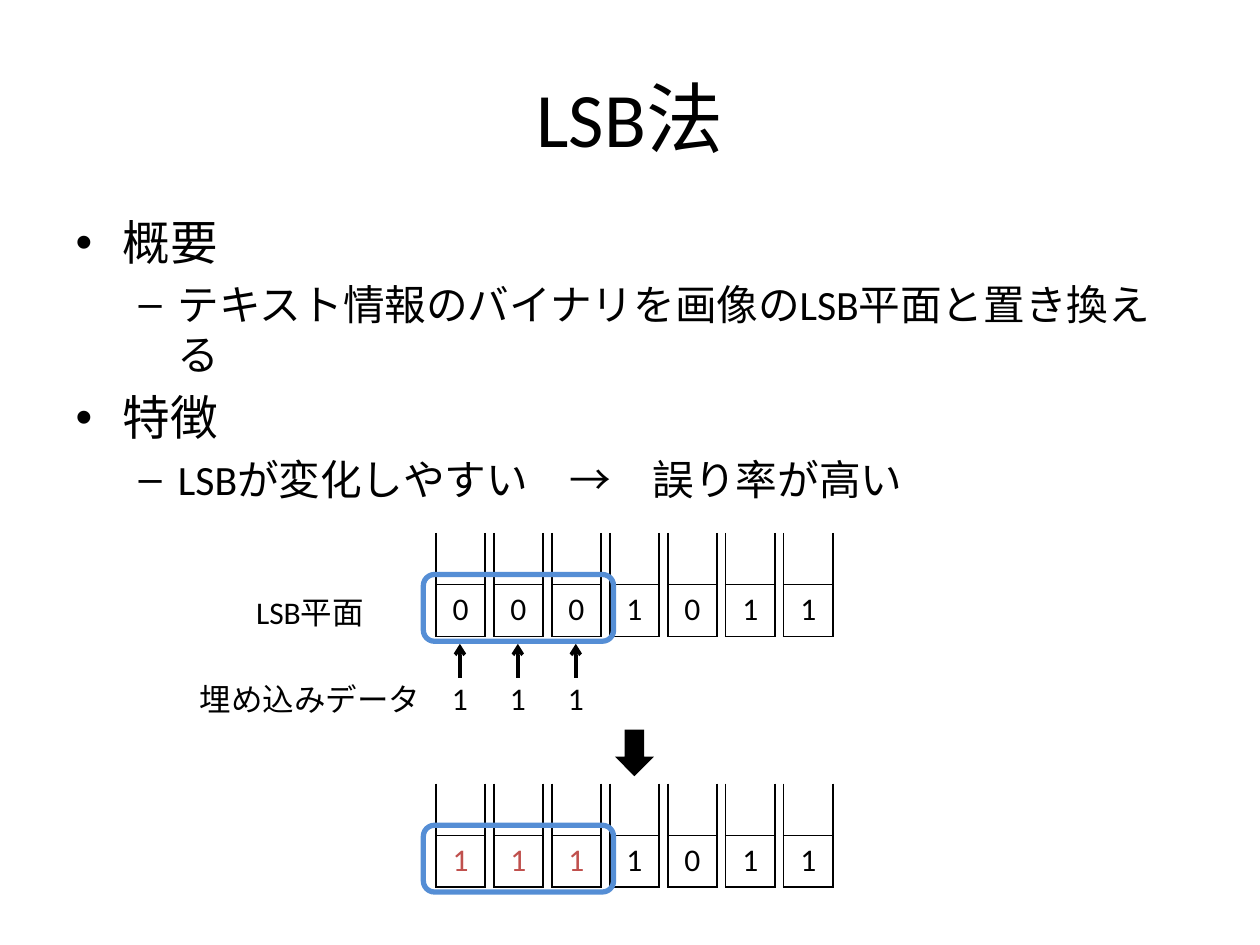
from lxml import etree
from pptx import Presentation
from pptx import util as u
from pptx.dml.color import RGBColor
from pptx.enum import shapes, text
from pptx.oxml import parse_xml
from pptx.oxml.ns import nsdecls, qn

Inches, Pt = u.Inches, u.Pt
FONT = "Calibri"
COLORS = {"ink": "000000", "changed": "C0504D", "frame": "558ED5"}
NO_STYLE = "{2D5ABB26-0587-4C30-8999-92F81FD0307C}"
PITCH = 0.46
ROW = 0.41


def style(paragraph, size, color="ink", align=text.PP_ALIGN.CENTER):
    paragraph.alignment = align
    paragraph.font.size = Pt(size)
    paragraph.font.name = FONT
    paragraph.font.color.rgb = RGBColor.from_string(COLORS[color])


def add_bits(left, top, col_width, rows, color="ink", borders=None):
    frame = slide.shapes.add_table(
        len(rows), len(rows[0]), Inches(left), Inches(top),
        Inches(col_width * len(rows[0])), Inches(ROW * len(rows)))
    grid = frame.table
    grid.first_row = grid.horz_banding = False
    grid._tbl.tblPr.find(qn("a:tableStyleId")).text = NO_STYLE
    for column in grid.columns:
        column.width = Inches(col_width)
    for r, row in enumerate(rows):
        for c, bit in enumerate(row):
            cell = grid.cell(r, c)
            cell.text = bit
            style(cell.text_frame.paragraphs[0], 18, color)
            for side in borders[r] if borders else "":
                cell._tc.get_or_add_tcPr().append(parse_xml(
                    f'<a:ln{side} {nsdecls("a")} w="12700"><a:solidFill>'
                    f'<a:srgbClr val="{COLORS["ink"]}"/></a:solidFill></a:ln{side}>'))
            cell.fill.background()


prs = Presentation()
prs.slide_width, prs.slide_height = Inches(10), Inches(7.5)
slide = prs.slides.add_slide(prs.slide_layouts[1])

title = slide.shapes.title
title.left, title.top, title.width, title.height = map(Inches, (0.5, 0.3, 9, 1.25))
title.text_frame.text = "LSB法"
style(title.text_frame.paragraphs[0], 44)

outline = slide.placeholders[1]
outline.left, outline.top, outline.width, outline.height = map(Inches, (0.5, 1.64, 9, 2.2))
points = [
    (0, "概要"),
    (1, "テキスト情報のバイナリを画像のLSB平面と置き換える"),
    (0, "特徴"),
    (1, "LSBが変化しやすい　→　誤り率が高い"),
]
outline.text_frame.text = "\n".join(point for _, point in points)
outline.text_frame.auto_size = text.MSO_AUTO_SIZE.NONE
for paragraph, (level, _) in zip(outline.text_frame.paragraphs, points):
    paragraph.level = level
    style(paragraph, (27.2, 23.8)[level], align=text.PP_ALIGN.LEFT)

add_bits(3.42, 5.35, PITCH, ["111"])

for i in range(3):
    x = Inches(3.65 + i * PITCH)
    embed_arrow = slide.shapes.add_connector(
        shapes.MSO_CONNECTOR.STRAIGHT, x, Inches(5.38), x, Inches(5.11))
    embed_arrow.line.width = Pt(2)
    embed_arrow.line.color.rgb = RGBColor.from_string(COLORS["ink"])
    embed_arrow.line._get_or_add_ln().append(
        parse_xml(f'<a:tailEnd {nsdecls("a")} type="arrow"/>'))
    etree.SubElement(embed_arrow._element.spPr, qn("a:effectLst"))

for top, words in ((4.66, "LSB平面"), (5.35, "埋め込みデータ")):
    label = slide.shapes.add_textbox(Inches(1.37), Inches(top), Inches(2.18), Inches(0.4))
    label.text_frame.word_wrap = True
    label.text_frame.text = words
    style(label.text_frame.paragraphs[0], 18)

down = slide.shapes.add_shape(
    shapes.MSO_SHAPE.DOWN_ARROW, Inches(4.88), Inches(5.79), Inches(0.31), Inches(0.37))
down.shadow.inherit = False
down.fill.solid()
down.fill.fore_color.rgb = RGBColor.from_string(COLORS["ink"])
down.line.fill.background()

planes = [(4.23, "0001011", "ink"), (6.22, "1111011", "changed")]
for top, bits, embedded_color in planes:
    for i, bit in enumerate(bits):
        add_bits(3.46 + i * PITCH, top, 0.39, [[""], [bit]],
                 embedded_color if i < 3 else "ink", ["LRB", "LRTB"])

for top, _, _ in planes:
    frame = slide.shapes.add_shape(
        shapes.MSO_SHAPE.ROUNDED_RECTANGLE,
        Inches(3.36), Inches(top + 0.33), Inches(1.51), Inches(0.53))
    frame.shadow.inherit = False
    frame.fill.background()
    frame.line.width = Pt(3)
    frame.line.color.rgb = RGBColor.from_string(COLORS["frame"])

prs.save("out.pptx")
